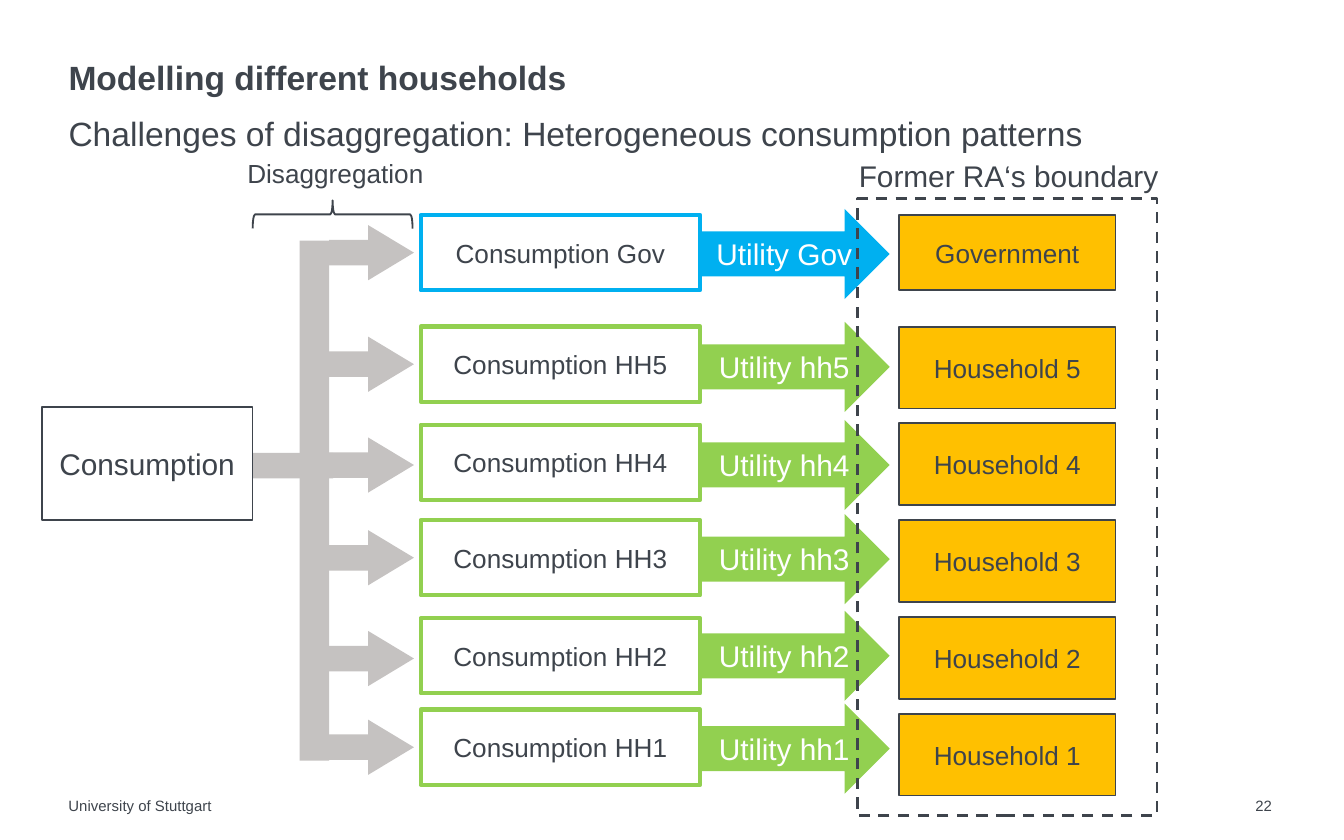
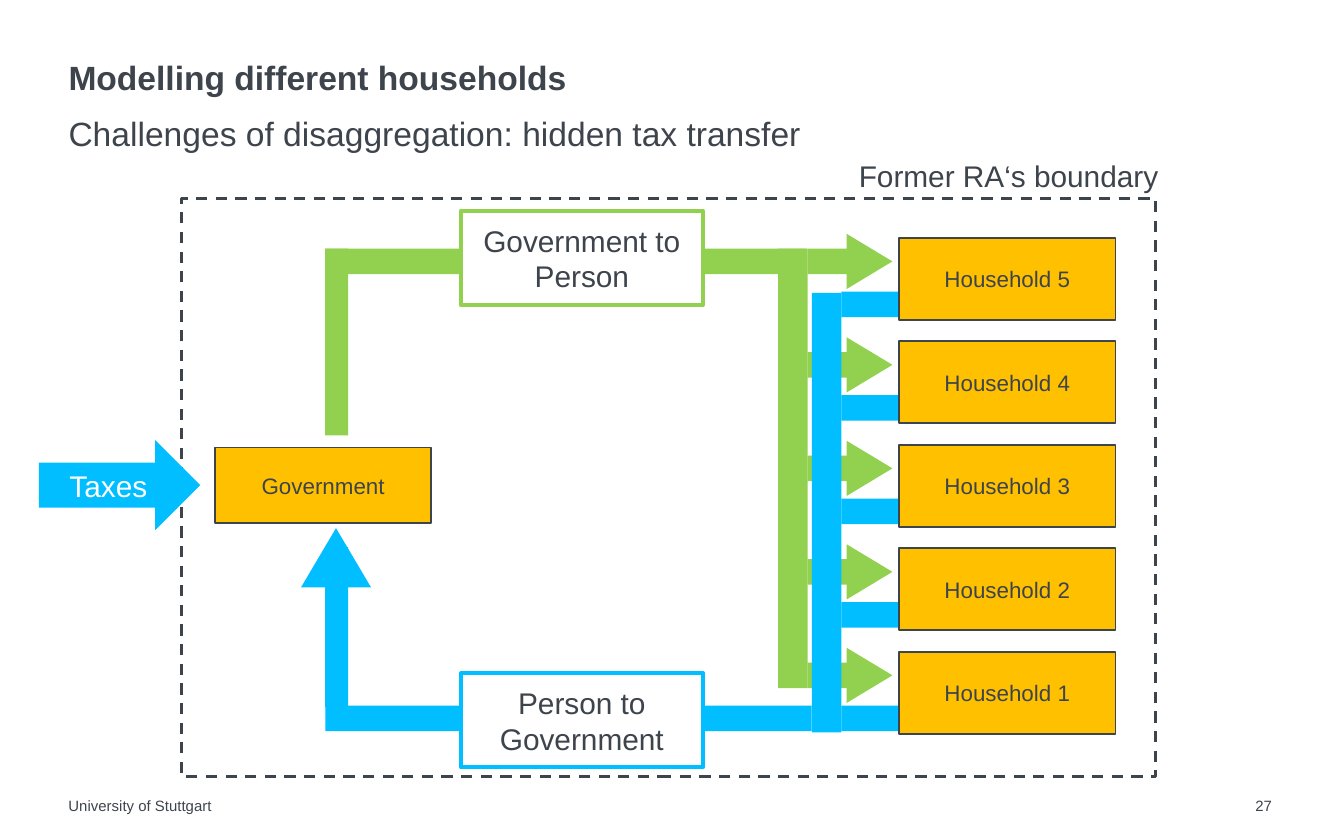
from pptx import Presentation
from pptx.dml.color import RGBColor
from pptx.enum.dml import MSO_LINE
from pptx.enum.shapes import MSO_SHAPE
from pptx.enum.text import MSO_ANCHOR, MSO_AUTO_SIZE, PP_ALIGN
from pptx.util import Inches, Pt

RECTANGLE = MSO_SHAPE.RECTANGLE
TRIANGLE = MSO_SHAPE.ISOSCELES_TRIANGLE
ARROW = MSO_SHAPE.RIGHT_ARROW
BRACE = MSO_SHAPE.RIGHT_BRACE
DASH = MSO_LINE.DASH
MIDDLE, BOTTOM, TOP = MSO_ANCHOR.MIDDLE, MSO_ANCHOR.BOTTOM, MSO_ANCHOR.TOP
CENTER, LEFT = PP_ALIGN.CENTER, PP_ALIGN.LEFT
NO_AUTOSIZE = MSO_AUTO_SIZE.NONE

FONT = "Arial"
COLORS = {
    "text": "3E444C",
    "white": "FFFFFF",
    "actor": "FFC000",
    "household": "92D050",
    "government": "00B0F0",
    "tax": "00BEFF",
    "split": "C5C2C1",
}
BAR = 0.19
TRUNK = 0.22
BRANCH = 0.43
HEAD_BASE, HEAD_LENGTH = 0.41, 0.34
HEAD_OFFSET = 0.29
FLOW_HEIGHT = 0.67
ACTOR_WIDTH, HOUSEHOLD_HEIGHT, GOVERNMENT_HEIGHT = 1.61, 0.61, 0.56


def rgb(name):
    return RGBColor.from_string(COLORS[name])


def write(frame, text, size, color="text", bold=False, align=LEFT, spacing=None):
    para = frame.paragraphs[0]
    para.alignment = align
    if spacing:
        para.line_spacing = spacing
    span = para.add_run()
    span.text = text
    span.font.name = FONT
    span.font.size = Pt(size)
    span.font.bold = bold
    span.font.color.rgb = rgb(color)


def clear_margins(frame, anchor=TOP):
    frame.margin_left = frame.margin_right = 0
    frame.margin_top = frame.margin_bottom = 0
    frame.vertical_anchor = anchor
    frame.auto_size = NO_AUTOSIZE


def add_label(page, box, text, size, wrap=False, spacing=None):
    frame = page.shapes.add_textbox(*map(Inches, box)).text_frame
    clear_margins(frame)
    frame.word_wrap = wrap
    write(frame, text, size, spacing=spacing)


def add_figure(page, kind, box, fill=None, line=None, weight=1.0):
    shape = page.shapes.add_shape(kind, *map(Inches, box))
    shape.shadow.inherit = False
    if fill:
        shape.fill.solid()
        shape.fill.fore_color.rgb = rgb(fill)
    else:
        shape.fill.background()
    if line:
        shape.line.color.rgb = rgb(line)
        shape.line.width = Pt(weight)
    else:
        shape.line.fill.background()
    return shape


def add_bar(page, box, color):
    add_figure(page, RECTANGLE, box, color)


def add_caption(shape, text, size, color="text"):
    shape.text_frame.word_wrap = True
    shape.text_frame.vertical_anchor = MIDDLE
    write(shape.text_frame, text, size, color, align=CENTER)


def add_box(page, box, text, size, fill="white", line="text", weight=1.0):
    shape = add_figure(page, RECTANGLE, box, fill, line, weight)
    add_caption(shape, text, size)


def add_flow(page, left, middle, width, text, color):
    box = (left, middle - FLOW_HEIGHT / 2, width, FLOW_HEIGHT)
    add_caption(add_figure(page, ARROW, box, color), text, 16, "white")


def add_branch(page, left, middle, color):
    """Draw a short bar that ends in a triangular head pointing right."""
    add_bar(page, (left, middle - BAR / 2, BRANCH, BAR), color)
    head_left = left + HEAD_OFFSET + (HEAD_LENGTH - HEAD_BASE) / 2
    head_box = (head_left, middle - HEAD_LENGTH / 2, HEAD_BASE, HEAD_LENGTH)
    add_figure(page, TRIANGLE, head_box, color).rotation = 90


def add_households(page, left, top, step, size):
    for index in range(5):
        box = (left, top + index * step, ACTOR_WIDTH, HOUSEHOLD_HEIGHT)
        add_box(page, box, f"Household {5 - index}", size, "actor")


def add_government(page, left, top, size):
    box = (left, top, ACTOR_WIDTH, GOVERNMENT_HEIGHT)
    add_box(page, box, "Government", size, "actor")


def add_boundary(page, box):
    frame = add_figure(page, RECTANGLE, box, line="text", weight=1.5)
    frame.line.dash_style = DASH


def add_page(deck, subtitle, number):
    """Add a slide with the title, subtitle, footer and boundary label."""
    page = deck.slides.add_slide(deck.slide_layouts[5])
    title = page.shapes.title
    title.left, title.top = Inches(0.51), Inches(0.43)
    title.width, title.height = Inches(8.98), Inches(0.3)
    clear_margins(title.text_frame, BOTTOM)
    title.text_frame.word_wrap = True
    write(title.text_frame, "Modelling different households", 18, bold=True, spacing=0.9)
    add_label(page, (0.51, 0.78, 8.98, 0.3), subtitle, 18, True, 1.2)
    add_label(page, (0.51, 5.93, 6.63, 0.14), "University of Stuttgart", 8, True)
    add_label(page, (9.34, 5.93, 0.24, 0.14), str(number), 8, True)
    add_label(page, (6.39, 1.17, 2.36, 0.26), "Former RA‘s boundary", 16)
    return page


def add_split(page, left, top, middles):
    """Draw the trunk and its branches, and the feed from the source on the left."""
    add_bar(page, (left - 0.35, 3.37, 0.6, BAR), "split")
    add_bar(page, (left, top, TRUNK, 3.87), "split")
    for middle in middles:
        add_branch(page, left + TRUNK, middle, "split")


def add_consumption_row(page, left, top, flow_middle, group, utility, color):
    add_box(page, (left, top, 2.08, 0.56), f"Consumption {group}", 14, line=color, weight=2.25)
    add_flow(page, left + 2.09, flow_middle, 1.4, f"Utility {utility}", color)


def consumption_page(deck):
    page = add_page(
        deck, "Challenges of disaggregation: Heterogeneous consumption patterns", 22
    )
    add_government(page, 6.69, 1.6, 14)
    add_households(page, 6.69, 2.43, 0.72, 14)
    add_split(page, 2.23, 1.79, (1.88, 2.71, 3.46, 4.15, 4.9, 5.56))
    add_box(page, (0.31, 3.03, 1.57, 0.84), "Consumption", 16)
    add_label(page, (1.84, 1.17, 1.21, 0.34), "Disaggregation", 14)
    brace = add_figure(page, BRACE, (2.37, 1, 0.21, 1.19), line="text")
    brace.rotation = 270

    add_consumption_row(page, 3.13, 1.6, 1.89, "Gov", "Gov", "government")
    household_rows = ((2.43, 2.73), (3.16, 3.46), (3.87, 4.16), (4.6, 4.88), (5.28, 5.57))
    for index, (top, flow_middle) in enumerate(household_rows):
        number = 5 - index
        add_consumption_row(
            page, 3.13, top, flow_middle, f"HH{number}", f"hh{number}", "household"
        )
    add_boundary(page, (6.38, 1.48, 2.23, 4.59))


def add_government_to_person(page, left, top, step):
    add_bar(page, (left, top, 3.58, BAR), "household")
    add_bar(page, (left, top, 0.17, 1.39), "household")
    trunk_left = left + 3.37
    for index in range(5):
        add_branch(page, trunk_left + TRUNK, top + BAR / 2 + index * step, "household")
    add_bar(page, (trunk_left, top, TRUNK, 3.27), "household")
    box = (left + 1.01, top - 0.28, 1.8, 0.7)
    add_box(page, box, "Government to Person", 16, line="household", weight=2.25)


def add_person_to_government(page, left, top, step):
    trunk_left = left + 3.62
    for index in range(5):
        add_bar(page, (trunk_left + TRUNK, top + index * step, BRANCH, BAR), "tax")
    add_bar(page, (trunk_left, top + 0.01, TRUNK, 3.27), "tax")
    bottom = top + 4 * step
    add_bar(page, (left, bottom, 3.62, BAR), "tax")
    add_bar(page, (left, bottom - 1.18, 0.17, 1.19), "tax")
    add_figure(page, TRIANGLE, (left - 0.18, bottom - 1.32, 0.52, 0.44), "tax")
    box = (left + 1.01, bottom - 0.24, 1.8, 0.7)
    add_box(page, box, "Person to Government", 16, line="tax", weight=2.25)


def transfer_page(deck):
    page = add_page(deck, "Challenges of disaggregation: hidden tax transfer", 27)
    step = 0.77
    add_boundary(page, (1.35, 1.48, 7.25, 4.3))
    add_government_to_person(page, 2.42, 1.85, step)
    add_person_to_government(page, 2.42, 2.17, step)
    add_households(page, 6.69, 1.77, step, 12)
    add_flow(page, 0.29, 3.61, 1.2, "Taxes", "tax")
    add_government(page, 1.6, 3.33, 12)


def main():
    deck = Presentation()
    deck.slide_width, deck.slide_height = Inches(10), Inches(6.25)
    consumption_page(deck)
    transfer_page(deck)
    deck.save("out.pptx")


if __name__ == "__main__":
    main()
